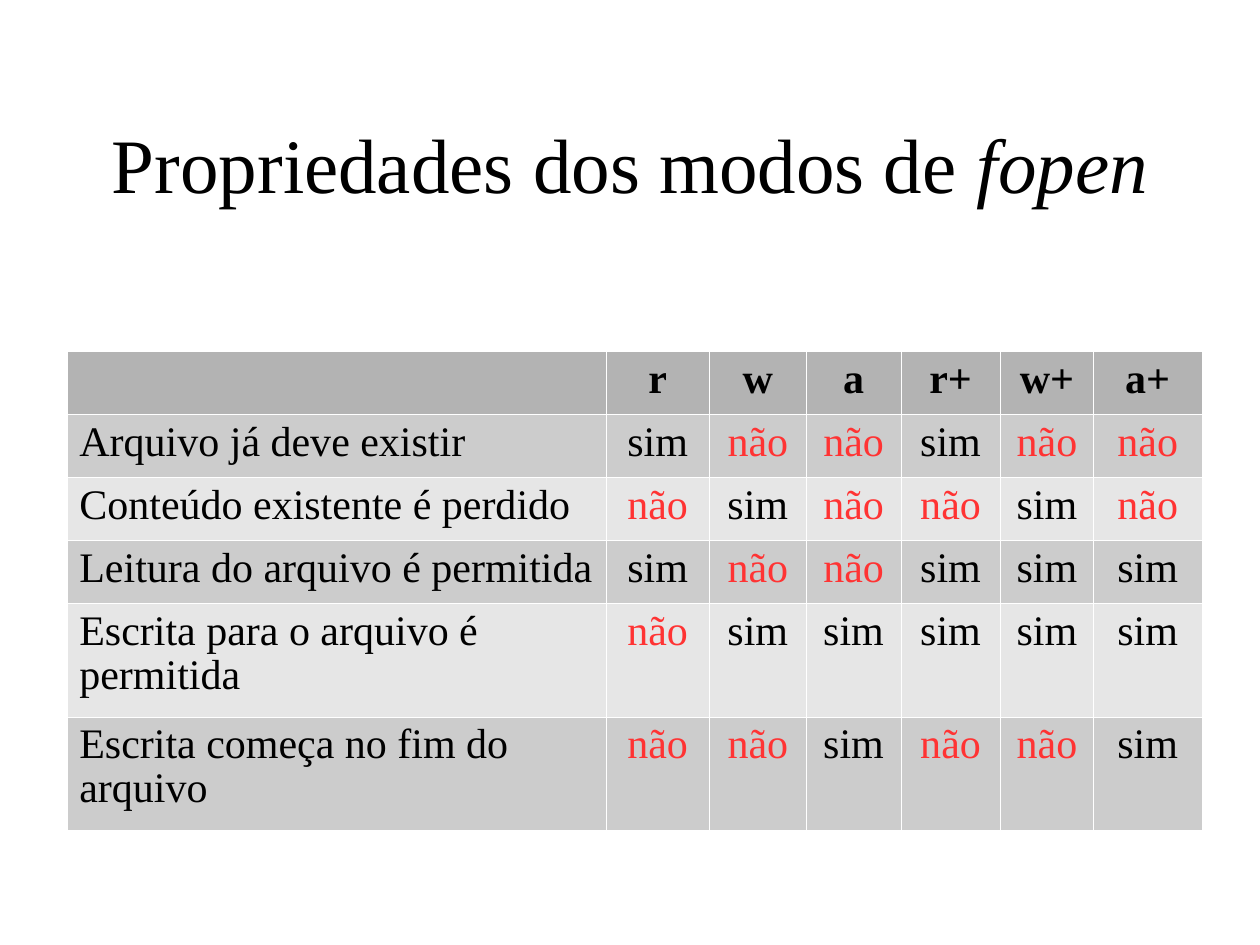
from dataclasses import dataclass

from lxml.etree import SubElement
from pptx import Presentation
from pptx.dml.color import RGBColor as Color
from pptx.enum.text import MSO_ANCHOR as Anchor, PP_ALIGN as Align
from pptx.oxml.ns import qn
from pptx.slide import Slide
from pptx.table import _Cell as Cell
from pptx.text.text import Font
from pptx.util import Inches, Pt


@dataclass(frozen=True)
class Theme:
    font: str = "Times New Roman"
    title_size: int = 44
    table_size: int = 24
    ink: str = "000000"
    negative: str = "FF3333"
    header: str = "B3B3B3"
    bands: tuple[str, str] = ("CCCCCC", "E6E6E6")
    border: str = "FFFFFF"
    border_width: float = 0.06


@dataclass(frozen=True)
class Property:
    label: str
    yes_modes: str
    height: float = 0.5


THEME = Theme()
MODES = ("r", "w", "a", "r+", "w+", "a+")
COLUMN_WIDTHS = (4.28, 0.82, 0.77, 0.75, 0.79, 0.74, 0.86)
HEADER_HEIGHT = 0.5
PROPERTIES = (
    Property("Arquivo já deve existir", "r r+"),
    Property("Conteúdo existente é perdido", "w w+"),
    Property("Leitura do arquivo é permitida", "r r+ w+ a+"),
    Property("Escrita para o arquivo é permitida", "w a r+ w+ a+", 0.9),
    Property("Escrita começa no fim do arquivo", "a a+", 0.9),
)


def style_font(font: Font, size: int, color: str, bold: bool = False) -> None:
    font.name = THEME.font
    font.size = Pt(size)
    font.bold = bold
    font.color.rgb = Color.from_string(color)


def draw_borders(cell: Cell) -> None:
    properties = cell._tc.get_or_add_tcPr()
    for position, side in enumerate(("lnL", "lnR", "lnT", "lnB")):
        line = SubElement(properties, qn(f"a:{side}"), w=str(Pt(THEME.border_width)))
        fill = SubElement(line, qn("a:solidFill"))
        SubElement(fill, qn("a:srgbClr"), val=THEME.border)
        properties.insert(position, line)


def fill_cell(cell: Cell, text: str, fill: str, align: Align, bold: bool) -> None:
    cell.fill.solid()
    cell.fill.fore_color.rgb = Color.from_string(fill)
    draw_borders(cell)
    cell.vertical_anchor = Anchor.TOP
    cell.text_frame.text = text
    para = cell.text_frame.paragraphs[0]
    para.alignment = align
    para.line_spacing = 0.95
    color = THEME.negative if text == "não" else THEME.ink
    style_font(para.font, THEME.table_size, color, bold)
    for span in para.runs:
        style_font(span.font, THEME.table_size, color, bold)


def draw_title(page: Slide) -> None:
    title = page.shapes.title
    title.left, title.top = Inches(0.75), Inches(0.67)
    title.width, title.height = Inches(8.5), Inches(1.25)
    frame = title.text_frame
    frame.word_wrap = True
    frame.vertical_anchor = Anchor.MIDDLE
    frame.text = "Propriedades dos modos de "
    para = frame.paragraphs[0]
    para.alignment = Align.CENTER
    para.add_run().text = "fopen"
    for span in para.runs:
        style_font(span.font, THEME.title_size, THEME.ink)
    para.runs[-1].font.italic = True


def draw_table(page: Slide) -> None:
    heights = (HEADER_HEIGHT, *(item.height for item in PROPERTIES))
    rows = [("", *MODES)]
    for item in PROPERTIES:
        allowed = item.yes_modes.split()
        answers = ("sim" if mode in allowed else "não" for mode in MODES)
        rows.append((item.label, *answers))
    table = page.shapes.add_table(
        len(rows), len(COLUMN_WIDTHS), Inches(0.53), Inches(2.79),
        Inches(sum(COLUMN_WIDTHS)), Inches(sum(heights)),
    ).table
    for column, width in zip(table.columns, COLUMN_WIDTHS):
        column.width = Inches(width)
    for row_index, (texts, height) in enumerate(zip(rows, heights)):
        table.rows[row_index].height = Inches(height)
        is_header = row_index == 0
        fill = THEME.header if is_header else THEME.bands[(row_index - 1) % 2]
        for column_index, text in enumerate(texts):
            align = Align.CENTER if column_index else Align.LEFT
            fill_cell(table.cell(row_index, column_index), text, fill, align, is_header)


def main() -> None:
    deck = Presentation()
    deck.slide_width, deck.slide_height = Inches(10), Inches(7.5)
    page = deck.slides.add_slide(deck.slide_layouts[5])
    draw_title(page)
    draw_table(page)
    deck.save("out.pptx")


if __name__ == "__main__":
    main()
